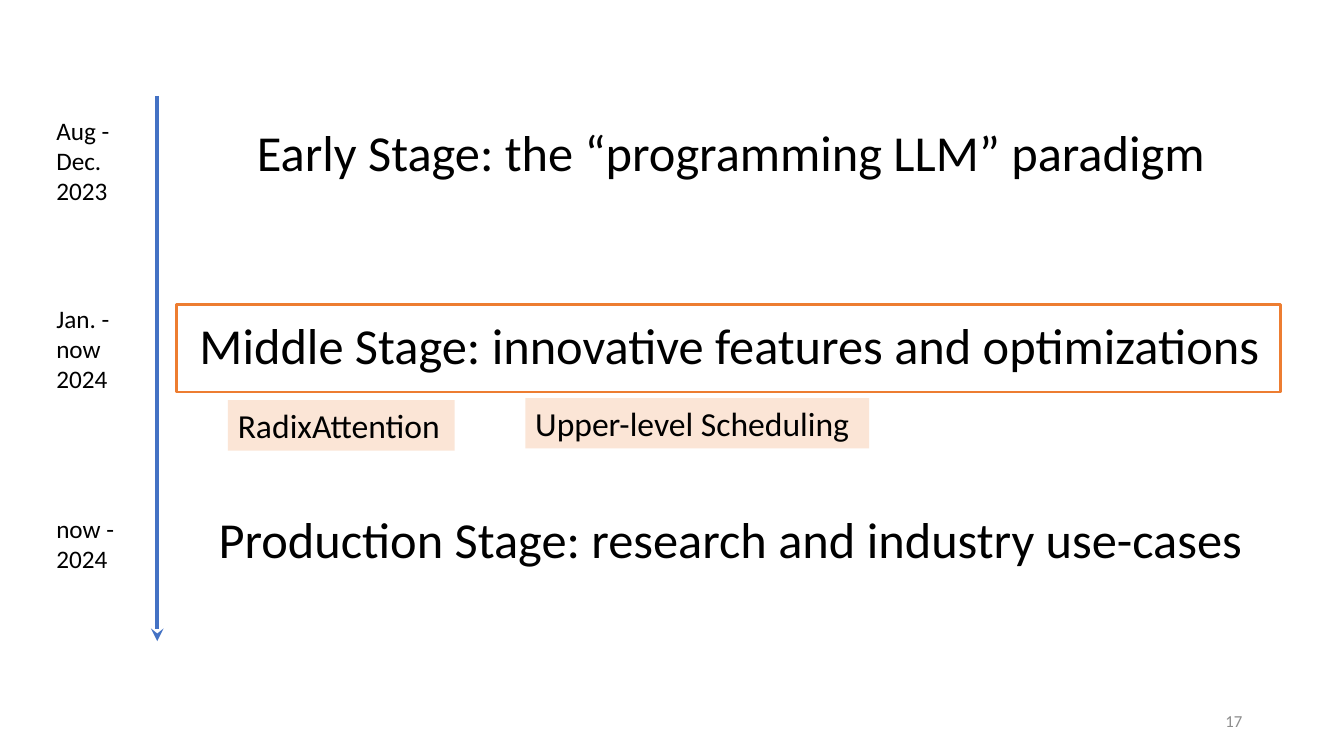
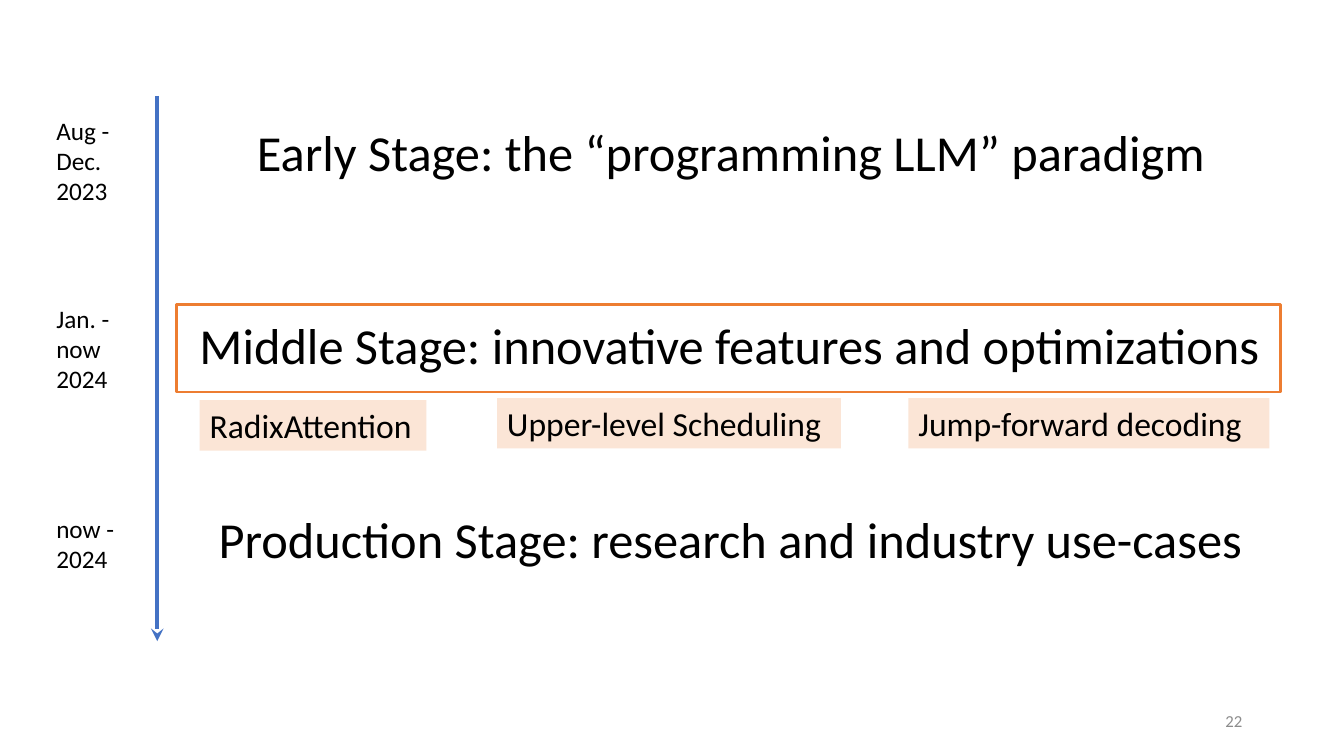
import pptx
import pptx.util
import pptx.dml.color
import pptx.enum.shapes
import pptx.enum.text
import pptx.oxml.ns
import lxml.etree

PX = 9144  # EMU per px, 100 px to the inch
FONT = "Calibri"
COLORS = {
    "text": "000000",
    "number": "8C8C8C",
    "axis": "4472C4",
    "frame": "ED7D31",
    "tag": "FBE5D6",
}
RGB = {name: pptx.dml.color.RGBColor.from_string(code) for name, code in COLORS.items()}
ALIGN = pptx.enum.text.PP_ALIGN
ANCHOR = pptx.enum.text.MSO_ANCHOR
RECT = pptx.enum.shapes.MSO_SHAPE.RECTANGLE

STAGES = [
    ("Early Stage: the “programming LLM” paradigm", (245, 115, 968, 71)),
    ("Middle Stage: innovative features and optimizations", (188, 307, 1082, 71)),
    ("Production Stage: research and industry use-cases", (207, 499, 1045, 71)),
]
DATES = [
    ("Aug - Dec.\n2023", (46, 109, 108, 101)),
    ("Jan. - now\n2024", (46, 296, 108, 101)),
    ("now -\n2024", (46, 504, 108, 71)),
]
# Label, offset from the first tag, top, width
TAGS = [
    ("RadixAttention", 0, 397, 225),
    ("Upper-level Scheduling", 295, 395, 341),
    ("Jump-forward decoding", 703, 395, 358),
]
# Slide number, left edge of the first tag, number of tags
SLIDES = [("17", 226, 2), ("22", 198, 3)]


def write(shape, text, size, color="text", align=ALIGN.LEFT, anchor=ANCHOR.TOP):
    frame = shape.text_frame
    frame.word_wrap = True
    frame.vertical_anchor = anchor
    frame.text = text
    style = {"name": FONT, "size": pptx.util.Pt(size)}
    for para in frame.paragraphs:
        para.alignment = align
        for key, value in style.items():
            setattr(para.font, key, value)
        para.font.color.rgb = RGB[color]


def scale(box):
    return [n * PX for n in box]


deck = pptx.Presentation()
deck.slide_width, deck.slide_height = scale((1333, 750))

for number, left, count in SLIDES:
    slide = deck.slides.add_slide(deck.slide_layouts[6])
    shapes = slide.shapes

    for size, items in ((36, STAGES), (18, DATES)):
        for text, box in items:
            write(shapes.add_textbox(*scale(box)), text, size)

    axis = shapes.add_connector(
        pptx.enum.shapes.MSO_CONNECTOR.STRAIGHT, *scale((156, 95, 156, 636)))
    axis.line.color.rgb = RGB["axis"]
    axis.line.width = pptx.util.Pt(3)
    tail = lxml.etree.SubElement(axis.line._get_or_add_ln(), pptx.oxml.ns.qn("a:tailEnd"))
    tail.set("type", "stealth")
    lxml.etree.SubElement(axis._element.spPr, pptx.oxml.ns.qn("a:effectLst"))

    write(shapes.add_textbox(*scale((942, 695, 300, 40))), number, 12,
          "number", ALIGN.RIGHT, ANCHOR.MIDDLE)

    frame = shapes.add_shape(RECT, *scale((175, 302, 1095, 87)))
    frame.shadow.inherit = False
    frame.fill.background()
    frame.line.color.rgb = RGB["frame"]
    frame.line.width = pptx.util.Pt(2)

    for text, shift, top, width in TAGS[:count]:
        tag = shapes.add_shape(RECT, *scale((left + shift, top, width, 50)))
        tag.shadow.inherit = False
        tag.fill.solid()
        tag.fill.fore_color.rgb = RGB["tag"]
        tag.line.fill.background()
        write(tag, text, 24)

deck.save("out.pptx")
